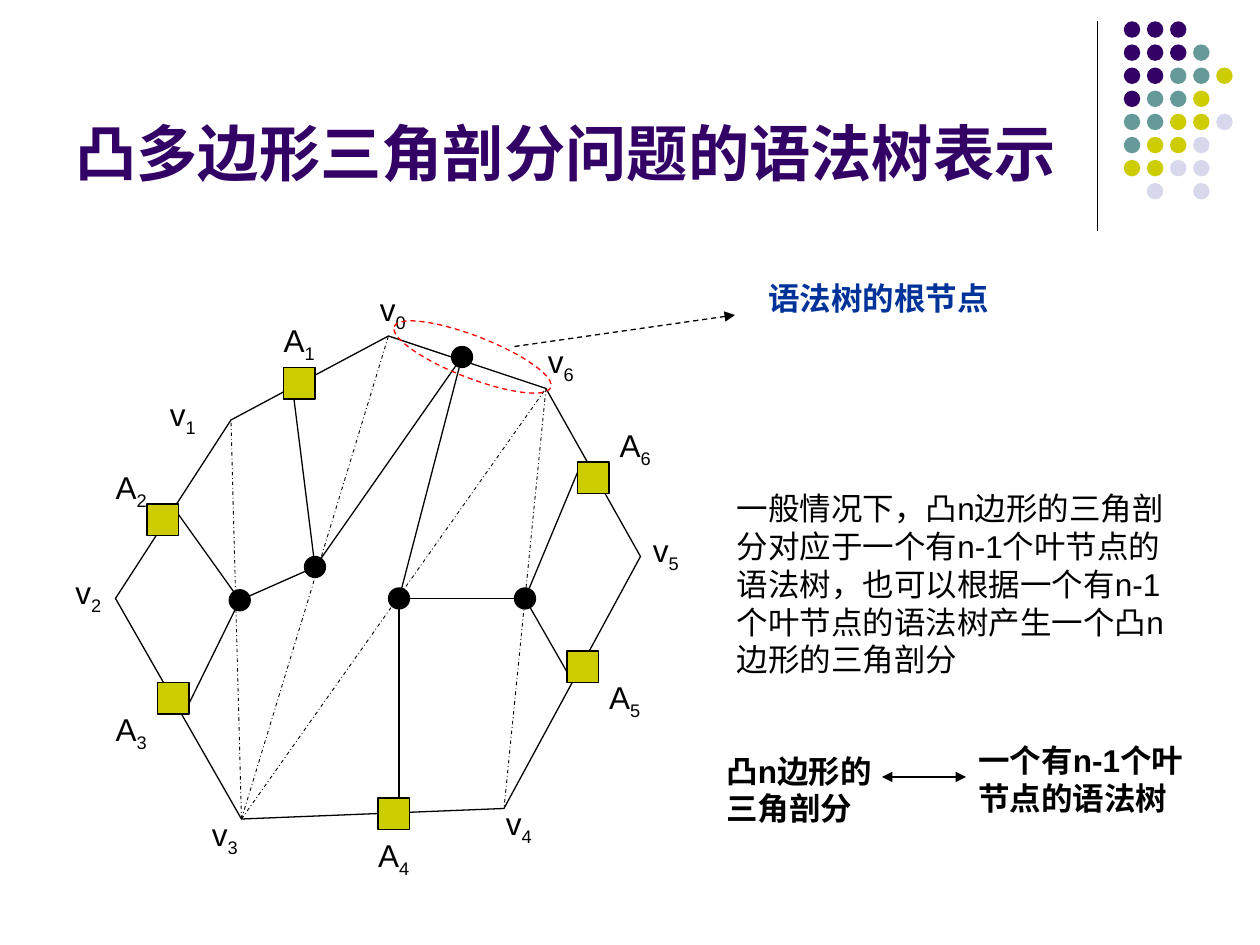
"""Build a slide on the syntax tree of a convex polygon triangulation."""
from dataclasses import dataclass
from typing import Any, NamedTuple, Optional

from pptx import Presentation
from pptx import util as u
from pptx.dml import color
from pptx.enum import dml, shapes, text
from pptx.oxml import xmlchemy as xml


@dataclass(frozen=True)
class Theme:
    font: str = "Arial"
    title_size: float = 35
    body_size: float = 18
    subscript: str = "-25000"
    line: float = 0.75
    thin: float = 0.5
    ink: str = "000000"
    purple: str = "330066"
    teal: str = "669999"
    olive: str = "CCCC00"
    pale: str = "D8D8EC"
    blue: str = "003399"
    red: str = "FF0000"


class Point(NamedTuple):
    x: float
    y: float


class Box(NamedTuple):
    x: float
    y: float
    width: float
    height: float


class Leaf(NamedTuple):
    corner: Point
    joint: Point
    label: Point
    parent: str


class Vertex(NamedTuple):
    at: Point
    label: Point


class Caption(NamedTuple):
    words: str
    box: Box
    style: dict[str, Any]


THEME = Theme()
OVAL = shapes.MSO_SHAPE.OVAL
SQUARE = shapes.MSO_SHAPE.RECTANGLE
DASH = dml.MSO_LINE.DASH
DASH_DOT = dml.MSO_LINE.DASH_DOT

DOT_ROWS = ["PPP", "PPPT", "PPTTO", "PTTO", "TTOOL", "TOOL", "OOLL", " L L"]
DOT_COLORS = {"P": THEME.purple, "T": THEME.teal, "O": THEME.olive, "L": THEME.pale}
DOT_ORIGIN, DOT_PITCH, DOT_SIZE = Point(642.2, 12.2), 13.2, 9.4
NODE_SIZE, LEAF_SIZE = 12, 18

VERTICES = {
    "0": Vertex(Point(222, 192), Point(210, 162)),
    "1": Vertex(Point(132, 240), Point(90, 222)),
    "2": Vertex(Point(66, 342), Point(36, 324)),
    "3": Vertex(Point(138, 468), Point(114, 462)),
    "4": Vertex(Point(288, 462), Point(282, 456)),
    "5": Vertex(Point(366, 318), Point(366, 300)),
    "6": Vertex(Point(312, 222), Point(306, 192)),
}
CHORDS = ["31", "30", "36", "64"]
NODES = {
    "root": Point(264, 204),
    "left": Point(180, 324),
    "far left": Point(137, 343),
    "right": Point(228, 342),
    "far right": Point(300, 342),
}
BRANCHES = [("root", "left"), ("root", "right"), ("left", "far left"), ("right", "far right")]
LEAVES = {
    "1": Leaf(Point(162, 210), Point(168, 228), Point(150, 180), "left"),
    "2": Leaf(Point(84, 288), Point(102, 294), Point(54, 264), "far left"),
    "3": Leaf(Point(90, 390), Point(108, 402), Point(54, 402), "far left"),
    "4": Leaf(Point(216, 456), Point(228, 456), Point(204, 474), "right"),
    "5": Leaf(Point(324, 372), Point(324, 384), Point(336, 384), "far right"),
    "6": Leaf(Point(330, 264), Point(330, 270), Point(342, 240), "far right"),
}
CAPTIONS = [
    Caption("凸多边形三角剖分问题的语法树表示", Box(36, 9.4, 594, 102),
            {"size": THEME.title_size, "shade": THEME.purple, "bold": True,
             "anchor": text.MSO_ANCHOR.BOTTOM}),
    Caption("语法树的根节点", Box(432, 156, 150, 28.8), {"shade": THEME.blue, "bold": True}),
    Caption("一般情况下，凸n边形的三角剖分对应于一个有n-1个叶节点的语法树，"
            "也可以根据一个有n-1个叶节点的语法树产生一个凸n边形的三角剖分",
            Box(414, 276, 264, 115), {}),
    Caption("凸n边形的三角剖分", Box(408, 426, 114, 50.4), {"bold": True}),
    Caption("一个有n-1个叶节点的语法树", Box(552, 420, 138, 50.4), {"bold": True}),
]


def points(values: tuple) -> list[u.Length]:
    """Turn plain numbers into point lengths."""
    return [u.Pt(value) for value in values]


def set_format(target: Any, values: dict[str, Any]) -> None:
    """Set each named attribute on the target."""
    for name, value in values.items():
        setattr(target, name, value)


def draw_outline(line: Any, shade: str, width: float, dash: Any = None) -> None:
    """Give a line its colour, width and dash."""
    line.fill.solid()
    line.fill.fore_color.rgb = color.RGBColor.from_string(shade)
    set_format(line, {"width": u.Pt(width), "dash_style": dash})


def draw_shape(page: Any, kind: Any, box: Box, fill: Optional[str] = None,
               edge: Optional[str] = None, dash: Any = None) -> Any:
    """Draw a preset shape with an optional fill and edge."""
    shape = page.shapes.add_shape(kind, *points(box))
    shape.shadow.inherit = False
    if fill:
        shape.fill.solid()
        shape.fill.fore_color.rgb = color.RGBColor.from_string(fill)
    else:
        shape.fill.background()
    if edge:
        draw_outline(shape.line, edge, THEME.line, dash)
    else:
        shape.line.fill.background()
    return shape


def draw_line(page: Any, start: Point, end: Point, width: float = THEME.line,
              dash: Any = None, arrows: tuple[str, ...] = ()) -> None:
    """Draw a straight line with optional arrowheads."""
    line = page.shapes.add_connector(shapes.MSO_CONNECTOR.STRAIGHT, *points(start + end))
    draw_outline(line.line, THEME.ink, width, dash)
    properties = line._element.spPr
    for arrow in arrows:
        head = xml.OxmlElement(f"a:{arrow}")
        head.set("type", "triangle")
        properties.ln.append(head)
    properties.append(xml.OxmlElement("a:effectLst"))


def draw_text(page: Any, words: str, box: Box, subscript: str = "",
              size: float = THEME.body_size, shade: str = THEME.ink, bold: bool = False,
              align: Any = text.PP_ALIGN.LEFT, anchor: Any = text.MSO_ANCHOR.TOP) -> None:
    """Write one paragraph, optionally ending in a subscript."""
    frame = page.shapes.add_textbox(*points(box)).text_frame
    set_format(frame, {"word_wrap": True, "vertical_anchor": anchor})
    para = frame.paragraphs[0]
    para.alignment = align
    for part in filter(None, (words, subscript)):
        span = para.add_run()
        span.text = part
        set_format(span.font, {"name": THEME.font, "size": u.Pt(size), "bold": bold})
        span.font.color.rgb = color.RGBColor.from_string(shade)
    if subscript:
        span.font._element.set("baseline", THEME.subscript)


def draw_ornament(page: Any) -> None:
    """Draw the corner rule and the dot grid."""
    draw_line(page, Point(627, 12), Point(627, 132))
    for row, codes in enumerate(DOT_ROWS):
        for column, code in enumerate(codes):
            if code in DOT_COLORS:
                box = Box(DOT_ORIGIN.x + column * DOT_PITCH, DOT_ORIGIN.y + row * DOT_PITCH,
                          DOT_SIZE, DOT_SIZE)
                draw_shape(page, OVAL, box, DOT_COLORS[code])


def draw_polygon(page: Any) -> None:
    """Draw the polygon, its chords and its vertex labels."""
    corners = [points(vertex.at) for vertex in VERTICES.values()]
    builder = page.shapes.build_freeform(*corners[0], scale=1.0)
    builder.add_line_segments(corners[1:], close=True)
    polygon = builder.convert_to_shape()
    polygon.shadow.inherit = False
    polygon.fill.background()
    draw_outline(polygon.line, THEME.ink, THEME.line)
    for start, end in CHORDS:
        draw_line(page, VERTICES[start].at, VERTICES[end].at, THEME.thin, DASH_DOT)
    for number, vertex in VERTICES.items():
        draw_text(page, "v", Box(*vertex.label, 36, 28.8), number)


def draw_tree(page: Any) -> None:
    """Draw the nodes, leaves and branches of the syntax tree."""
    for node in NODES.values():
        box = Box(node.x - NODE_SIZE / 2, node.y - NODE_SIZE / 2, NODE_SIZE, NODE_SIZE)
        draw_shape(page, OVAL, box, THEME.ink, THEME.ink)
    for parent, child in BRANCHES:
        draw_line(page, NODES[parent], NODES[child])
    for number, leaf in LEAVES.items():
        draw_shape(page, SQUARE, Box(*leaf.corner, LEAF_SIZE, LEAF_SIZE), THEME.olive, THEME.ink)
        draw_line(page, NODES[leaf.parent], leaf.joint)
        draw_text(page, "A", Box(*leaf.label, 42, 28.8), number, align=text.PP_ALIGN.CENTER)


def main() -> None:
    """Build and save the deck."""
    deck = Presentation()
    set_format(deck, {"slide_width": u.Pt(720), "slide_height": u.Pt(540)})
    page = deck.slides.add_slide(deck.slide_layouts[6])
    draw_ornament(page)
    draw_polygon(page)
    draw_tree(page)
    draw_shape(page, OVAL, Box(222, 192, 96, 24), edge=THEME.red, dash=DASH).rotation = 21.2
    draw_line(page, Point(294, 198), Point(420, 180), dash=DASH, arrows=("tailEnd",))
    for caption in CAPTIONS:
        draw_text(page, caption.words, caption.box, **caption.style)
    draw_line(page, Point(504, 444), Point(552, 444), arrows=("headEnd", "tailEnd"))
    deck.save("out.pptx")


if __name__ == "__main__":
    main()
